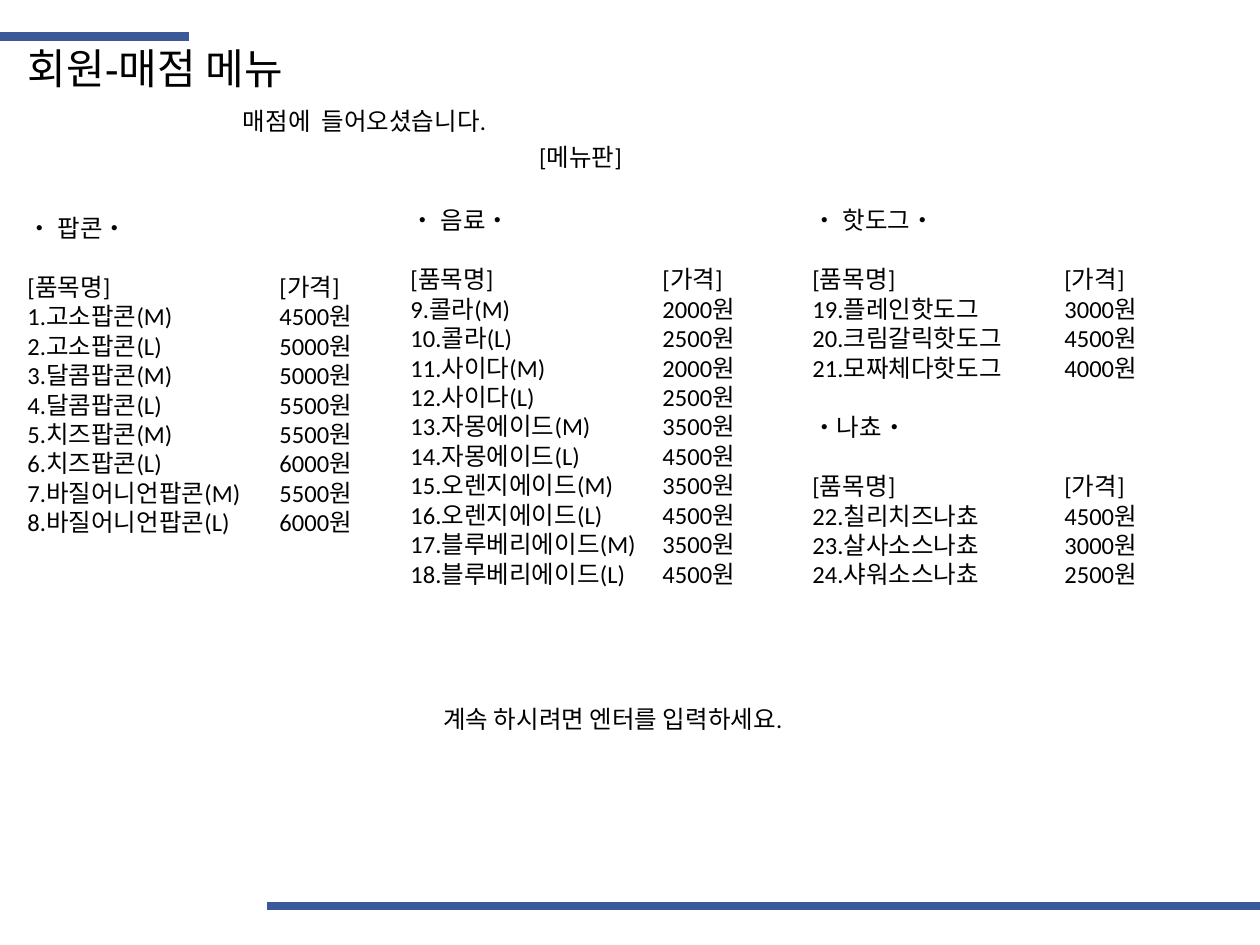
from lxml.etree import SubElement
from pptx import Presentation
from pptx.dml.color import RGBColor as RGB
from pptx.enum.shapes import MSO_CONNECTOR as Conn
from pptx.oxml.ns import qn
from pptx.util import Inches, Pt

BLUE = RGB(0x3B, 0x59, 0x99)
BLACK = RGB(0, 0, 0)
WIDTH = 3.04
HEAD = ("[품목명]", "[가격]")

MENUS = [
    (0.12, 1.64, 3.16, "• 팝콘•", 1, [
        ("고소팝콘(M)", 4500), ("고소팝콘(L)", 5000),
        ("달콤팝콘(M)", 5000), ("달콤팝콘(L)", 5500),
        ("치즈팝콘(M)", 5500), ("치즈팝콘(L)", 6000),
        ("바질어니언팝콘(M)", 5500), ("바질어니언팝콘(L)", 6000)]),
    (3.16, 1.58, 3.64, "• 음료•", 9, [
        ("콜라(M)", 2000), ("콜라(L)", 2500),
        ("사이다(M)", 2000), ("사이다(L)", 2500),
        ("자몽에이드(M)", 3500), ("자몽에이드(L)", 4500),
        ("오렌지에이드(M)", 3500), ("오렌지에이드(L)", 4500),
        ("블루베리에이드(M)", 3500), ("블루베리에이드(L)", 4500)]),
    (6.35, 1.58, 1.99, "• 핫도그•", 19, [
        ("플레인핫도그", 3000), ("크림갈릭핫도그", 4500),
        ("모짜체다핫도그", 4000)]),
    (6.35, 3.22, 1.99, "•나쵸•", 22, [
        ("칠리치즈나쵸", 4500), ("살사소스나쵸", 3000),
        ("샤워소스나쵸", 2500)]),
]


def add_bar(slide, left, right, y):
    bar = slide.shapes.add_connector(
        Conn.STRAIGHT, Inches(left), Inches(y), Inches(right), Inches(y))
    bar.line.color.rgb = BLUE
    bar.line.width = Pt(5)
    SubElement(bar._element.spPr, qn("a:effectLst"))


def add_frame(slide, left, top, width, height):
    box = slide.shapes.add_textbox(
        Inches(left), Inches(top), Inches(width), Inches(height))
    box.text_frame.word_wrap = True
    return box.text_frame


def set_text(para, text, size=14, face="Calibri"):
    para.text = text
    para.font.size = Pt(size)
    para.font.name = face
    para.font.color.rgb = BLACK


def add_label(slide, place, text, **style):
    frame = add_frame(slide, *place)
    set_text(frame.paragraphs[0], text, **style)


def set_tab(para, stop):
    tabs = SubElement(para._p.get_or_add_pPr(), qn("a:tabLst"))
    SubElement(tabs, qn("a:tab"), pos=str(Inches(stop)), algn="l")


def add_menu(slide, left, top, height, title, first, items):
    frame = add_frame(slide, left, top, WIDTH, height)
    para = frame.paragraphs[0]
    set_text(para, title)
    para.space_after = Pt(17)
    rows = [(f"{num}.{name}", f"{price}원")
            for num, (name, price) in enumerate(items, first)]
    for row in [HEAD] + rows:
        para = frame.add_paragraph()
        set_tab(para, 2)
        set_text(para, "\t".join(row))


def main():
    deck = Presentation()
    deck.slide_width, deck.slide_height = Inches(10), Inches(7.5)
    slide = deck.slides.add_slide(deck.slide_layouts[6])
    add_bar(slide, 0, 1.5, 0.29)
    add_bar(slide, 2.12, 10.01, 7.19)
    add_label(slide, (0.12, 0.29, 4.37, 0.5), "회원-매점 메뉴",
              size=24, face="Arial")
    add_label(slide, (1.83, 0.79, 2.66, 0.34), "매점에  들어오셨습니다.")
    add_label(slide, (4.18, 1.08, 2.32, 0.34), "[메뉴판]")
    for menu in MENUS:
        add_menu(slide, *menu)
    add_label(slide, (3.42, 5.54, 3.46, 0.34),
              "계속 하시려면 엔터를 입력하세요.")
    deck.save("out.pptx")


if __name__ == "__main__":
    main()
